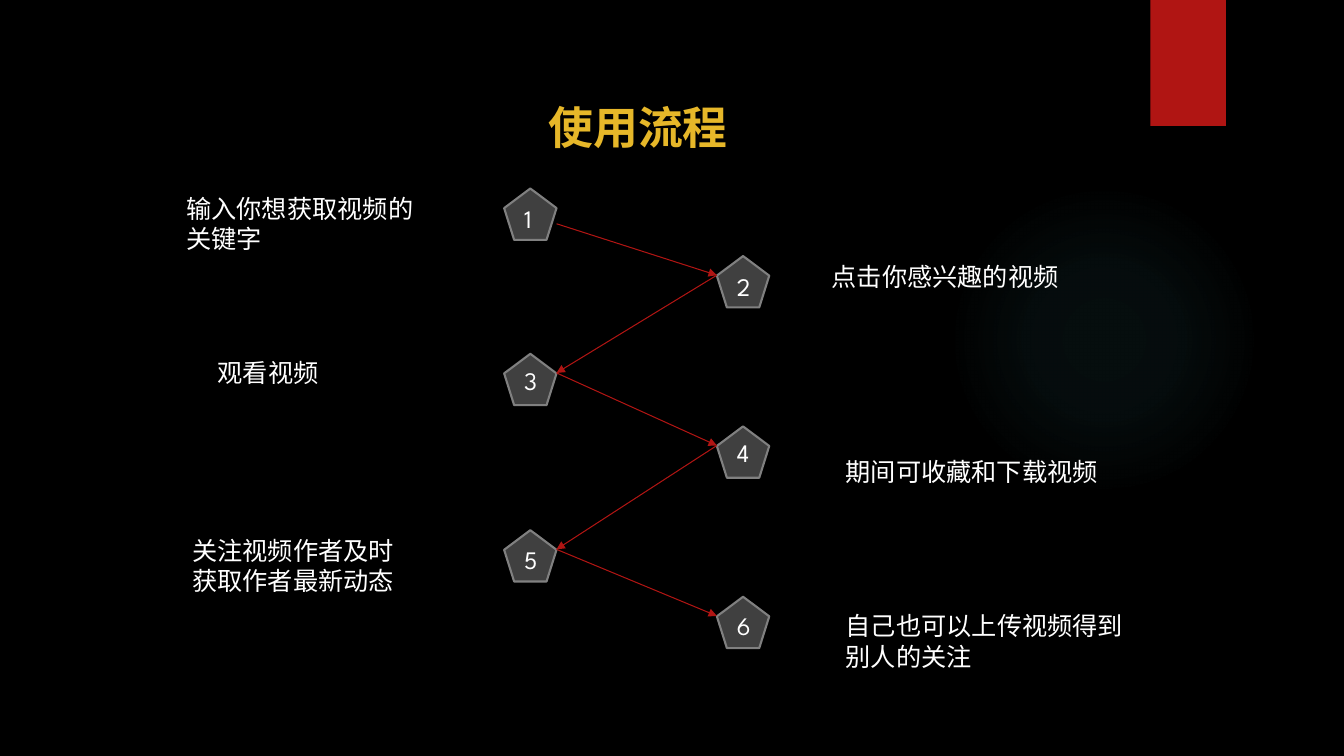
"""Build the six-step usage flow slide."""
from itertools import pairwise
from lxml.etree import SubElement
from pptx import Presentation
from pptx.dml.color import RGBColor
from pptx.enum.shapes import MSO_CONNECTOR, MSO_SHAPE
from pptx.enum.text import MSO_ANCHOR, PP_ALIGN
from pptx.oxml.ns import qn
from pptx.util import Inches, Pt


def paint(part, tone):
    part.solid()
    part.fore_color.rgb = RGBColor.from_string(tone)


def write(box, words, size, tone, bold=False):
    frame = box.text_frame
    frame.word_wrap = True
    frame.vertical_anchor = MSO_ANCHOR.TOP
    para = frame.paragraphs[0]
    para.alignment = PP_ALIGN.LEFT
    run = para.add_run()
    run.text = words
    run.font.name = "League Spartan"
    run.font.size = Pt(size)
    run.font.bold = bold
    paint(run.font.fill, tone)


deck = Presentation()
deck.slide_width, deck.slide_height = Inches(13.33), Inches(7.5)
slide = deck.slides.add_slide(deck.slide_layouts[5])
paint(slide.background.fill, "000000")
shapes = slide.shapes
title = shapes.title

glow = shapes.add_shape(MSO_SHAPE.OVAL, *map(Inches, (9.41, 1.83, 3.08, 3.08)))
glow.shadow.inherit = False
glow.line.fill.background()
glow.fill.gradient()
grad = glow.fill._xPr.find(qn("a:gradFill"))
for child in list(grad):
    grad.remove(child)
stops = SubElement(grad, qn("a:gsLst"))
for place, alpha in ((0, 7), (36, 6), (69, 0)):
    stop = SubElement(stops, qn("a:gs"), pos=str(place * 1000))
    color = SubElement(stop, qn("a:srgbClr"), val="50B9C1")
    SubElement(color, qn("a:alpha"), val=str(alpha * 1000))
path = SubElement(grad, qn("a:path"), path="circle")
SubElement(path, qn("a:fillToRect"), {side: "50000" for side in "ltrb"})

flag = shapes.add_shape(MSO_SHAPE.RECTANGLE, *map(Inches, (11.41, 0, 0.75, 1.25)))
flag.shadow.inherit = False
flag.line.fill.background()
paint(flag.fill, "B01513")

title.left, title.top, title.width, title.height = map(Inches, (5.34, 0.94, 5.01, 0.64))
write(title, "使用流程", 32, "E6B729", True)

cols = (5, 7.11)
wide, high = 0.52, 0.51
steps = (
    (1.87, 1.97, "输入你想获取视频的关键字", (1.75, 1.87, 2.62, 0.71)),
    (2.54, 2.64, "点击你感兴趣的视频", (8.15, 2.54, 2.55, 0.4)),
    (3.51, 3.58, "观看视频", (2.06, 3.5, 2.42, 0.4)),
    (4.23, 4.29, "期间可收藏和下载视频", (8.29, 4.48, 2.84, 0.4)),
    (5.26, 5.35, "关注视频作者及时获取作者最新动态", (1.81, 5.26, 2.44, 0.71)),
    (5.92, 6.01, "自己也可以上传视频得到别人的关注", (8.29, 6.01, 2.95, 0.71)),
)
ends = []
for num, (top, mark, words, place) in enumerate(steps, 1):
    side = (num - 1) % 2
    left = cols[side]
    node = shapes.add_shape(MSO_SHAPE.REGULAR_PENTAGON, *map(Inches, (left, top, wide, high)))
    node.shadow.inherit = False
    paint(node.fill, "404040")
    paint(node.line.fill, "808080")
    node.line.width = Pt(1.5)
    digit = shapes.add_textbox(*map(Inches, (left + 0.1, mark, 0.33, 0.4)))
    write(digit, str(num), 18, "FFFFFF")
    label = shapes.add_textbox(*map(Inches, place))
    write(label, words, 18, "FFFFFF")
    drop = 0.35 if num == 1 else 0.19
    ends.append((left if side else left + wide, top + drop))

for start, end in pairwise(ends):
    arrow = shapes.add_connector(MSO_CONNECTOR.STRAIGHT, *map(Inches, start + end))
    paint(arrow.line.fill, "B01513")
    arrow.line.width = Pt(0.75)
    SubElement(arrow.line._get_or_add_ln(), qn("a:tailEnd"), type="triangle")
    SubElement(arrow._element.spPr, qn("a:effectLst"))

deck.save("out.pptx")
